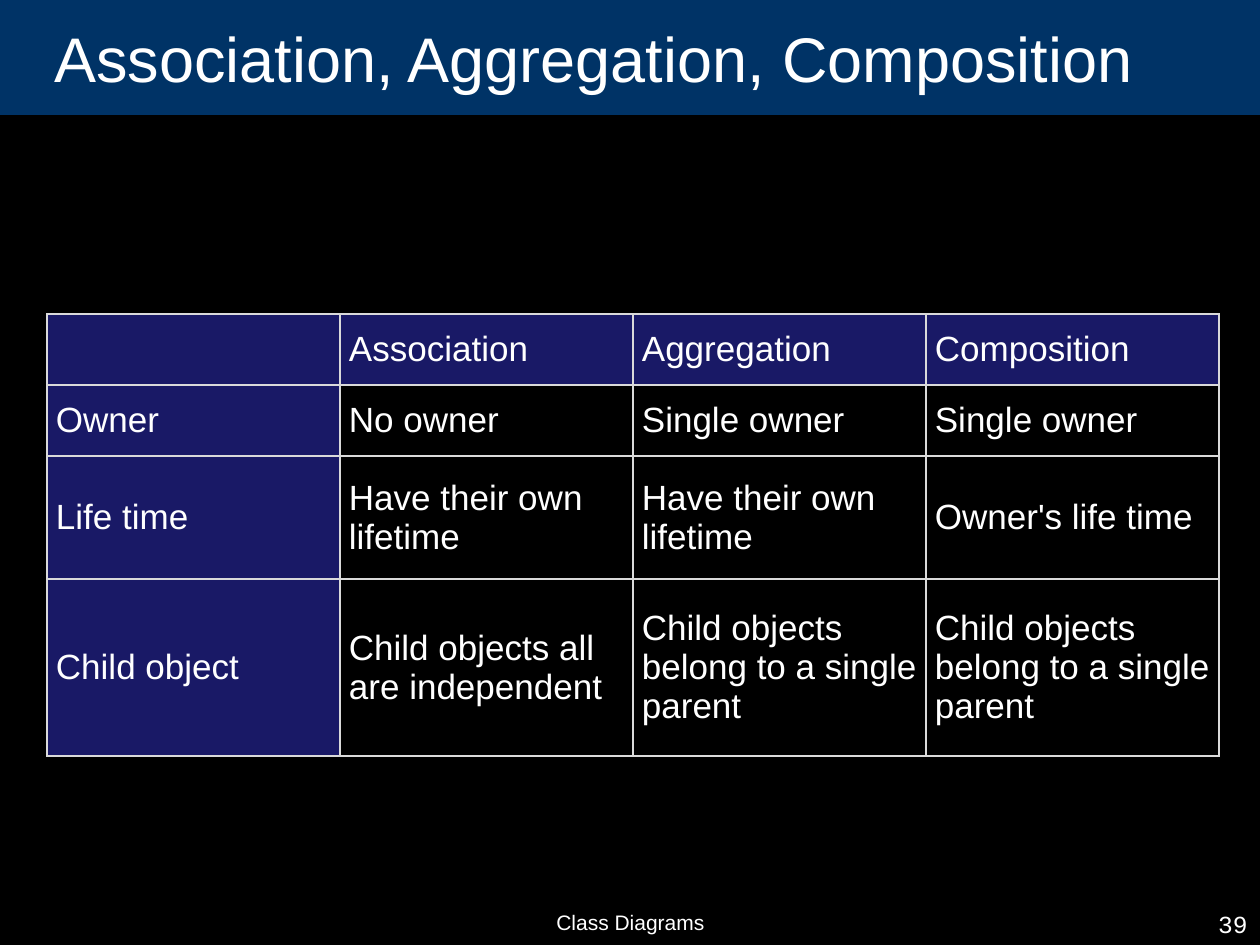
from lxml import etree
from pptx import Presentation
from pptx.dml.color import RGBColor
from pptx.enum.shapes import MSO_SHAPE
from pptx.enum.text import MSO_ANCHOR as ANCHOR, PP_ALIGN as ALIGN
from pptx.oxml import parse_xml
from pptx.oxml.ns import nsdecls, qn
from pptx.util import Pt

BLACK = RGBColor(0x00, 0x00, 0x00)
WHITE = RGBColor(0xFF, 0xFF, 0xFF)
BANNER = RGBColor(0x00, 0x33, 0x66)
HEADER = RGBColor(0x19, 0x19, 0x66)
GRID = RGBColor(0xDA, 0xDA, 0xDA)

TITLE = "Association, Aggregation, Composition"
ROWS = [
    ("", "Association", "Aggregation", "Composition"),
    ("Owner", "No owner", "Single owner", "Single owner"),
    ("Life time", "Have their own lifetime", "Have their own lifetime",
     "Owner's life time"),
    ("Child object", "Child objects all are independent",
     "Child objects belong to a single parent",
     "Child objects belong to a single parent"),
]
ROW_HEIGHTS = [71, 71, 123, 177]
COL_WIDTH = 293
TABLE_LEFT, TABLE_TOP = 47, 314
CELL_MARGIN = 9
FOOTERS = [
    ("Class Diagrams", (431, 903, 399, 42), 12, "Arial", ALIGN.CENTER),
    ("39", (998, 903, 262, 42), 14, "Courier New", ALIGN.RIGHT),
]


def px(n):
    return round(n * 914400 / 126)


def box(*args):
    return [px(n) for n in args]


def style(p, size, name="Arial", align=ALIGN.LEFT):
    p.alignment = align
    p.font.size = Pt(size)
    p.font.name = name
    p.font.color.rgb = WHITE


def add_text(slide, text, place, size, name, align, anchor=ANCHOR.TOP):
    s = slide.shapes.add_textbox(*box(*place))
    tf = s.text_frame
    tf.word_wrap = True
    tf.vertical_anchor = anchor
    p = tf.paragraphs[0]
    p.text = text
    style(p, size, name, align)
    return s


def add_borders(cell):
    tc_pr = cell._tc.get_or_add_tcPr()
    for i, side in enumerate(("lnL", "lnR", "lnT", "lnB")):
        ln = parse_xml(f'<a:{side} {nsdecls("a")} w="{Pt(1)}"/>')
        fill = etree.SubElement(ln, qn("a:solidFill"))
        etree.SubElement(fill, qn("a:srgbClr"), val=str(GRID))
        tc_pr.insert(i, ln)


def add_comparison(slide):
    cols = len(ROWS[0])
    table = slide.shapes.add_table(
        len(ROWS), cols,
        *box(TABLE_LEFT, TABLE_TOP, cols * COL_WIDTH, sum(ROW_HEIGHTS))).table
    for col in table.columns:
        col.width = px(COL_WIDTH)
    for r, (height, texts) in enumerate(zip(ROW_HEIGHTS, ROWS)):
        table.rows[r].height = px(height)
        for c, text in enumerate(texts):
            cell = table.cell(r, c)
            cell.vertical_anchor = ANCHOR.MIDDLE
            cell.margin_left = cell.margin_right = px(CELL_MARGIN)
            cell.margin_top = cell.margin_bottom = px(CELL_MARGIN)
            if r == 0 or c == 0:
                cell.fill.solid()
                cell.fill.fore_color.rgb = HEADER
            else:
                cell.fill.background()
            add_borders(cell)
            p = cell.text_frame.paragraphs[0]
            p.text = text
            style(p, 20)
            p.font.bold = False


def main():
    prs = Presentation()
    prs.slide_width, prs.slide_height = box(1260, 945)
    slide = prs.slides.add_slide(prs.slide_layouts[6])
    slide.background.fill.solid()
    slide.background.fill.fore_color.rgb = BLACK

    banner = slide.shapes.add_shape(MSO_SHAPE.RECTANGLE, *box(0, 0, 1260, 115))
    banner.shadow.inherit = False
    banner.line.fill.background()
    title = add_text(slide, TITLE, (42, 0, 1124, 115), 36, "Arial",
                     ALIGN.LEFT, ANCHOR.MIDDLE)
    for s in (banner, title):
        s.fill.solid()
        s.fill.fore_color.rgb = BANNER

    for footer in FOOTERS:
        add_text(slide, *footer)
    add_comparison(slide)
    prs.save("out.pptx")


if __name__ == "__main__":
    main()
